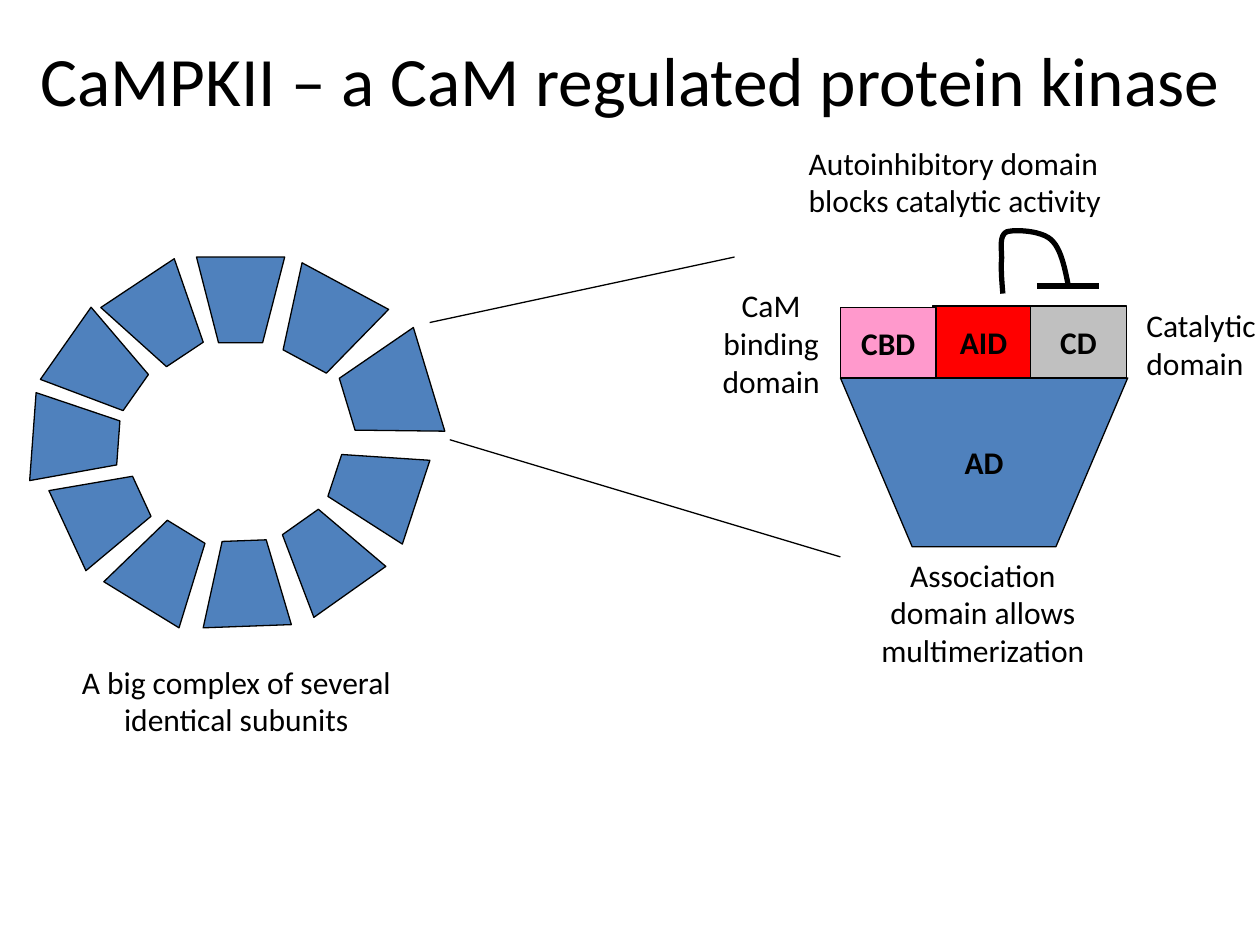
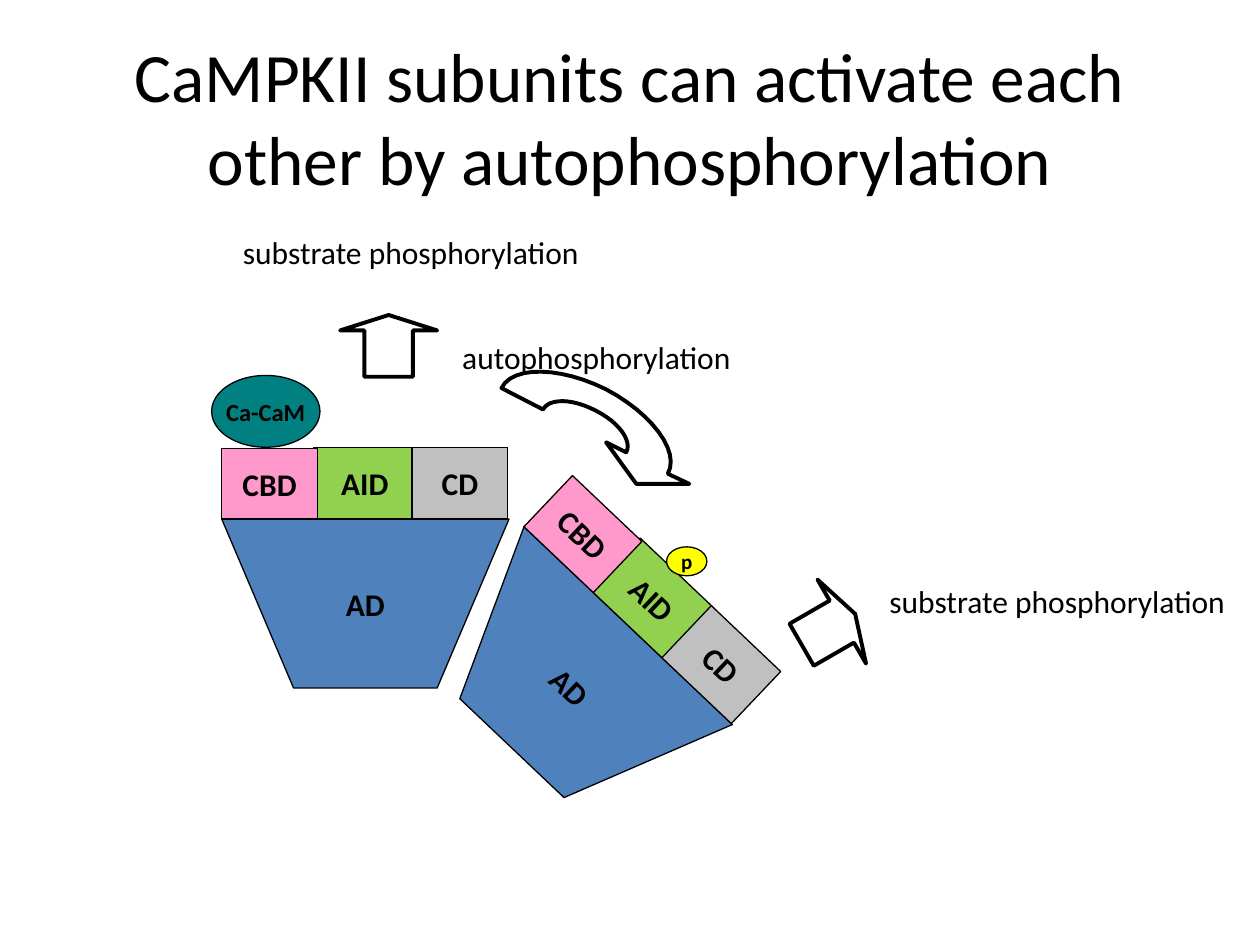
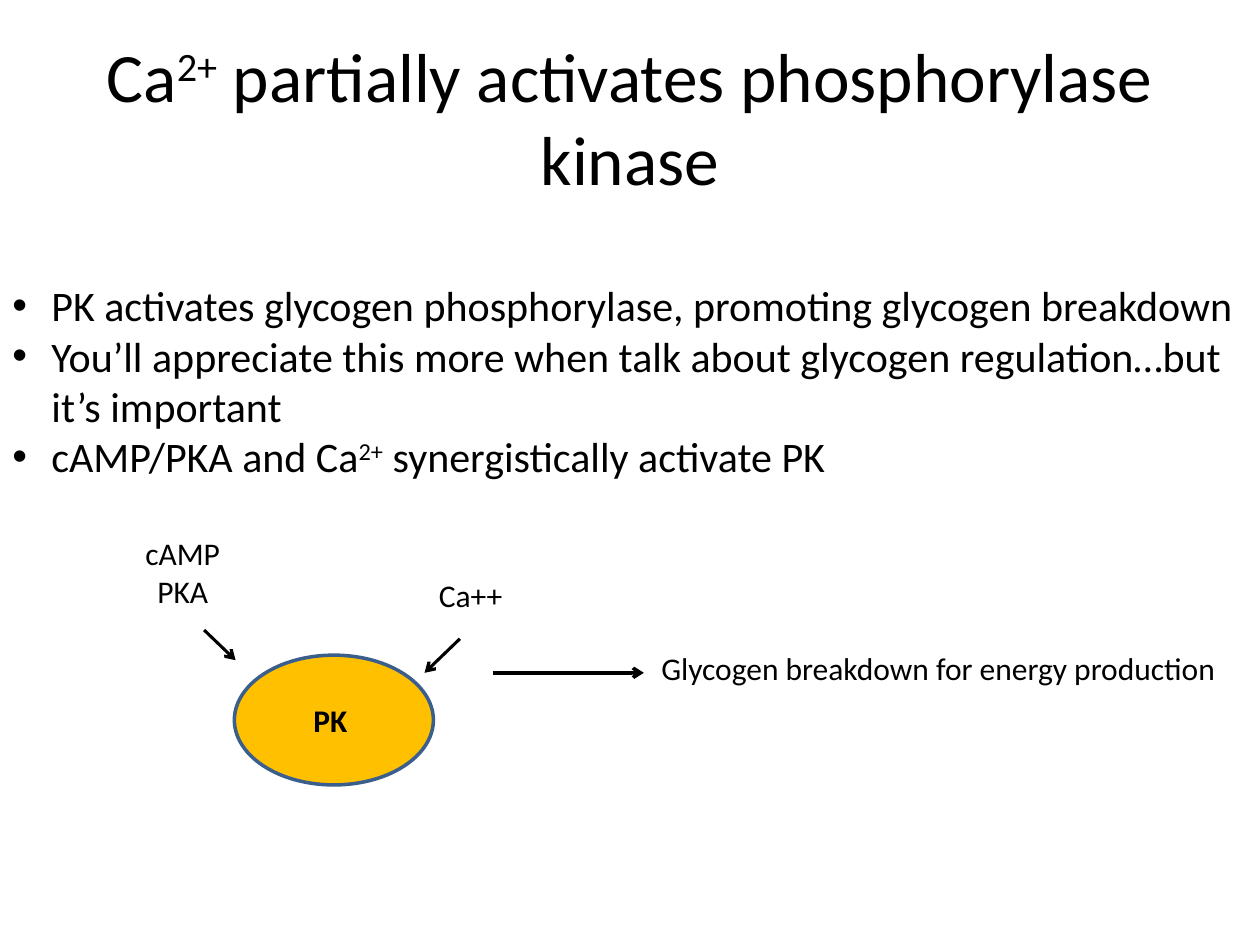
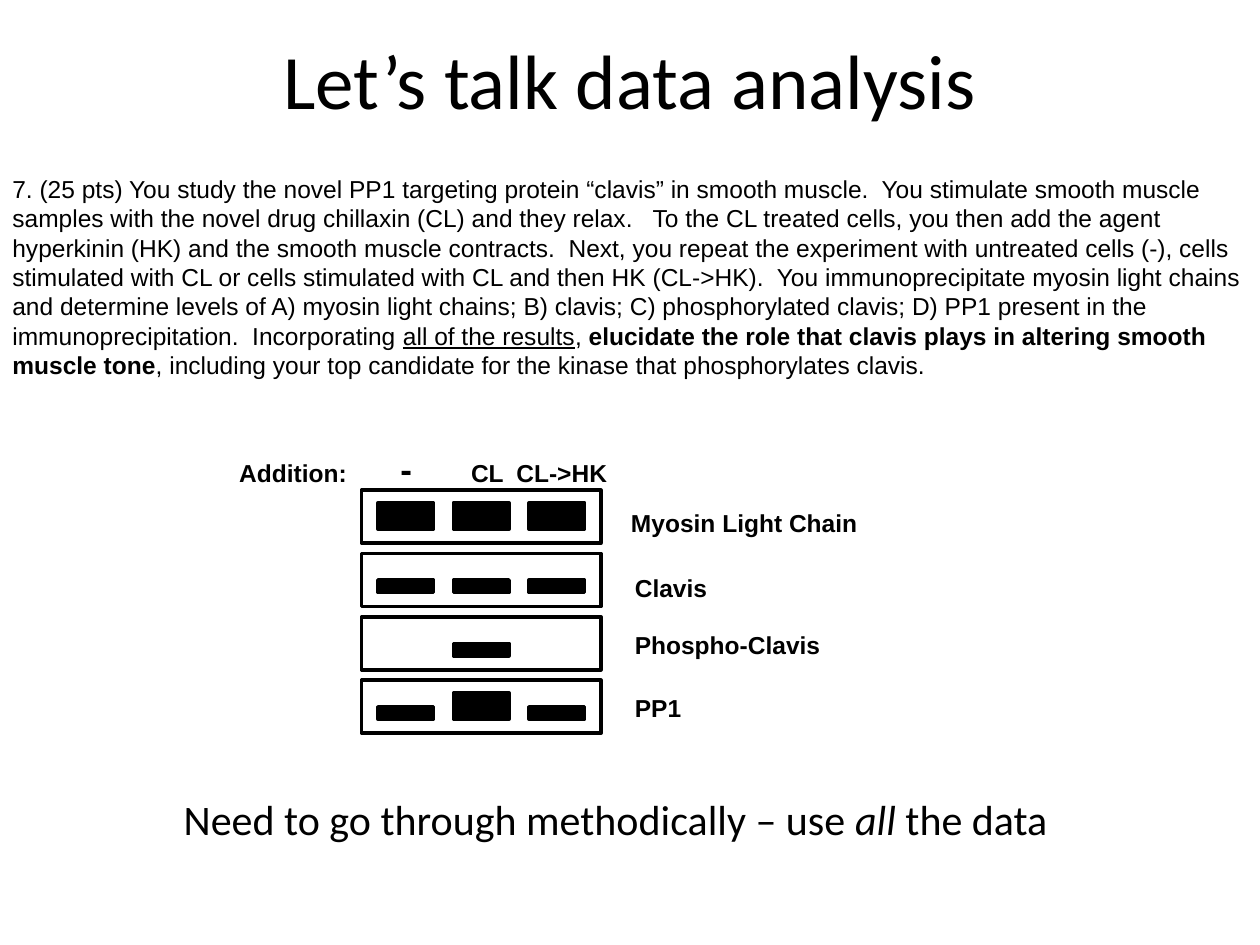
import math
from pptx import Presentation
from pptx.dml.color import RGBColor
from pptx.enum.shapes import MSO_CONNECTOR, MSO_SHAPE
from pptx.enum.text import MSO_ANCHOR, PP_ALIGN
from pptx.oxml.ns import qn
from pptx.util import Inches, Pt
from lxml import etree

RECTANGLE, ELLIPSE, UP_ARROW = MSO_SHAPE.RECTANGLE, MSO_SHAPE.OVAL, MSO_SHAPE.UP_ARROW
STRAIGHT = MSO_CONNECTOR.STRAIGHT
LEFT, CENTER = PP_ALIGN.LEFT, PP_ALIGN.CENTER
TOP, MIDDLE = MSO_ANCHOR.TOP, MSO_ANCHOR.MIDDLE

COLORS = {
    "ink": "000000", "paper": "FFFFFF", "subunit": "4F81BD", "blocked": "FF0000",
    "open": "92D050", "catalytic": "C0C0C0", "binding": "FF99CC",
    "calmodulin": "008080", "phosphate": "FFFF00", "kinase": "FFC000", "kinase edge": "3A5F8C",
}
BODY_FONT, DATA_FONT = "Calibri", "Arial"
PAGE_WIDTH, PAGE_HEIGHT = 10, 7.5
TITLE_HEIGHT = 1.25

# Content: a paragraph is a string or a list of (text, style) spans
RING = [  # left, top, width, height, turn of each subunit
    (1.56, 2.04, 0.70, 0.68, 0), (2.19, 2.23, 0.78, 0.68, 28.3),
    (2.65, 2.77, 0.86, 0.68, 73.1), (2.63, 3.54, 0.70, 0.68, 108.2),
    (2.23, 4.08, 0.70, 0.68, 144.7), (1.60, 4.29, 0.70, 0.68, 177.9),
    (0.95, 4.17, 0.70, 0.68, 211.5), (0.48, 3.75, 0.70, 0.65, 245.2),
    (0.93, 2.19, 0.70, 0.68, 326.4), (0.25, 3.15, 0.70, 0.68, 274.2),
    (0.45, 2.58, 0.70, 0.68, 305.1),
]
STRUCTURE_NOTES = [  # text, box, alignment
    ("CaM binding domain", (5.58, 2.22, 1.08, 1.01), CENTER),
    ("Catalytic domain", (9, 2.38, 1.08, 0.71), LEFT),
    ("Autoinhibitory domain blocks catalytic activity", (6.32, 1.09, 2.97, 0.71), LEFT),
    ("Association domain allows multimerization", (6.79, 4.36, 2.02, 1.01), CENTER),
    ("A big complex of several identical subunits", (0.23, 5.21, 3.29, 0.71), CENTER),
]
ZOOM_LINES = [((3.41, 2.56), (5.83, 2.04)), ((3.57, 3.49), (6.67, 4.42))]
INHIBITION_CURVE = [
    (8.48, 2.27),
    [(8.45, 2.12), (8.42, 1.97), (8.34, 1.90)], [(8.26, 1.83), (8.06, 1.82), (7.99, 1.84)],
    [(7.93, 1.87), (7.95, 1.97), (7.95, 2.05)], [(7.94, 2.14), (7.96, 2.33), (7.96, 2.33)],
]
INHIBITION_BAR = ((8.23, 2.27), (8.72, 2.27))

SUBUNIT_SIZE = (2.28, 1.91)
ASSOCIATION_DOMAIN = (0, 0.57, 2.28, 1.34)
DOMAINS = [  # name, colour (None: state of the AID), box within the subunit
    ("AID", None, (0.73, 0, 0.81, 0.57)),
    ("CD", "catalytic", (1.51, 0, 0.76, 0.57)),
    ("CBD", "binding", (0, 0.01, 0.76, 0.56)),
]
ACTIVATION_NOTES = [
    ("substrate phosphorylation", (1.83, 1.8, 2.94, 0.4)),
    ("autophosphorylation", (3.57, 2.63, 2.62, 0.4)),
    ("substrate phosphorylation", (6.96, 4.57, 2.94, 0.4)),
]
SUBSTRATE_ARROWS = [((2.70, 2.50, 0.77, 0.49), 0), ((6.19, 4.75, 0.77, 0.49), 60)]
AUTO_ARROW = [
    (4.97, 3.59),
    [(5.02, 3.50), (4.91, 3.35), (4.73, 3.26)], [(4.54, 3.16), (4.36, 3.16), (4.31, 3.25)],
    (3.98, 3.08),
    [(4.07, 2.90), (4.45, 2.91), (4.81, 3.09)], [(5.17, 3.28), (5.40, 3.58), (5.30, 3.76)],
    (5.47, 3.84), (5.05, 3.84), (4.81, 3.51),
]
AUTO_ARROW_TURN = 27.1
LIGANDS = [
    ("Ca-CaM", (1.68, 2.98, 0.86, 0.57), "calmodulin", 14),
    ("p", (5.29, 4.34, 0.32, 0.23), "phosphate", 12),
]

KINASE_TITLE = [("Ca", ""), ("2+", "super"), (" partially activates phosphorylase kinase", "")]
KINASE_POINTS = [
    "PK activates glycogen phosphorylase, promoting glycogen breakdown",
    "You’ll appreciate this more when talk about glycogen regulation…but it’s important",
    [("cAMP/PKA and Ca", ""), ("2+", "super"), (" synergistically activate PK", "")],
]
KINASE_ARROWS = [
    ((1.62, 5), (1.87, 5.24), 1.75),
    ((3.65, 5.07), (3.37, 5.34), 1.75),
    ((3.91, 5.34), (5.11, 5.34), 2),
]

QUESTION = [
    ("7. (25 pts) You study the novel PP1 targeting protein “clavis” in smooth muscle.  "
     "You stimulate smooth muscle samples with the novel drug chillaxin (CL) and they relax.   "
     "To the CL treated cells, you then add the agent hyperkinin (HK) and the smooth muscle "
     "contracts.  Next, you repeat the experiment with untreated cells (-), cells stimulated "
     "with CL or cells stimulated with CL and then HK (CL->HK).  You immunoprecipitate myosin "
     "light chains and determine levels of A) myosin light chains; B) clavis; "
     "C) phosphorylated clavis; D) PP1 present in the immunoprecipitation.  Incorporating ", ""),
    ("all of the results", "underline"),
    (", ", ""),
    ("elucidate the role that clavis plays in altering smooth muscle tone", "bold"),
    (", including your top candidate for the kinase that phosphorylates clavis.", ""),
]
ADDITIONS = [("Addition:\t", ""), ("-\t", "large"), ("CL\tCL->HK", "")]
ADDITION_STOPS = [1.28, 1.84, 2.2]
NO_BAND, THIN, THICK = 0, 0.1, 0.21
BLOTS = [  # label, label left and top, band heights for -, CL, CL->HK
    ("Myosin Light Chain", (4.91, 3.98), (THICK, THICK, THICK)),
    ("Clavis", (4.94, 4.5), (THIN, THIN, THIN)),
    ("Phospho-Clavis", (4.94, 4.95), (NO_BAND, THIN, NO_BAND)),
    ("PP1", (4.94, 5.45), (THIN, THICK, THIN)),
]
BLOT_LEFT, BLOT_TOP, BLOT_WIDTH, BLOT_HEIGHT, BLOT_PITCH = 2.87, 3.89, 1.9, 0.42, 0.503
BAND_INSET, BAND_WIDTH, BAND_PITCH, BAND_BASE = 0.13, 0.44, 0.6, 0.31
ADVICE = [("Need to go through methodically – use ", ""), ("all", "italic"), (" the data", "")]


def color(name):
    return RGBColor.from_string(COLORS[name])


def inches(values):
    return [Inches(value) for value in values]


# Text
def write(box, paragraphs, size=18, font=BODY_FONT, bold=False, align=LEFT, anchor=TOP, wrap=True):
    frame = box.text_frame
    frame.word_wrap = wrap
    frame.vertical_anchor = anchor
    for index, content in enumerate(paragraphs):
        para = frame.paragraphs[0] if index == 0 else frame.add_paragraph()
        para.alignment = align
        for text, style in [(content, "")] if isinstance(content, str) else content:
            span = para.add_run()
            span.text = text
            span.font.name = font
            span.font.size = Pt(20 if style == "large" else size)
            span.font.color.rgb = color("ink")
            span.font.bold = bold or style == "bold"
            span.font.italic = style == "italic"
            span.font.underline = style == "underline"
            if style == "super":
                span.font._element.set("baseline", "30000")
    return frame


def add_text(page, box, *paragraphs, **style):
    return write(page.shapes.add_textbox(*inches(box)), paragraphs, **style)


def add_title(page, title, left=0.5, top=0.3, size=39.6):
    add_text(page, (left, top, PAGE_WIDTH - 2 * left, TITLE_HEIGHT), title,
             size=size, align=CENTER, anchor=MIDDLE)


def add_bullets(frame):
    for para in frame.paragraphs:
        settings = para._p.get_or_add_pPr()
        settings.set("marL", str(Inches(0.31)))
        settings.set("indent", str(-Inches(0.31)))
        etree.SubElement(settings, qn("a:buFont"), typeface="Arial")
        etree.SubElement(settings, qn("a:buChar"), char="•")


def add_tab_stops(para, stops):
    tabs = etree.SubElement(para._p.get_or_add_pPr(), qn("a:tabLst"))
    for stop in stops:
        etree.SubElement(tabs, qn("a:tab"), pos=str(Inches(stop)), algn="l")


# Shapes
def paint(shape, fill=None, line="ink", width=0.75, turn=0):
    shape.shadow.inherit = False
    if fill:
        shape.fill.solid()
        shape.fill.fore_color.rgb = color(fill)
    else:
        shape.fill.background()
    shape.line.color.rgb = color(line)
    shape.line.width = Pt(width)
    shape.rotation = turn
    return shape


def add_shape(page, kind, box, **look):
    return paint(page.shapes.add_shape(kind, *inches(box)), **look)


def add_outline(page, points, closed=True, **look):
    corners = [inches(point) for point in points]
    builder = page.shapes.build_freeform(*corners[0])
    builder.add_line_segments(corners[1:], close=closed)
    return paint(builder.convert_to_shape(), **look)


def add_trapezoid(page, box, **look):
    left, top, width, height = box
    corners = [(0, 0), (0.25, 1), (0.75, 1), (1, 0)]
    return add_outline(page, [(left + x * width, top + y * height) for x, y in corners], **look)


def add_line(page, start, end, width=0.75, arrow=False):
    line = page.shapes.add_connector(STRAIGHT, *inches(start + end))
    line.line.color.rgb = color("ink")
    line.line.width = Pt(width)
    if arrow:
        etree.SubElement(line.line._get_or_add_ln(), qn("a:tailEnd"), type="arrow")
    etree.SubElement(line._element.spPr, qn("a:effectLst"))


def trace(steps, pieces=12):
    """Turn corners and cubic curves (lists of three points) into points."""
    points = []
    for step in steps:
        if isinstance(step, tuple):
            points.append(step)
            continue
        curve = [points[-1]] + step
        for piece in range(1, pieces + 1):
            t = piece / pieces
            weights = [math.comb(3, k) * t ** k * (1 - t) ** (3 - k) for k in range(4)]
            points.append(tuple(sum(w * point[axis] for w, point in zip(weights, curve))
                                for axis in (0, 1)))
    return points


def turn_point(point, center, degrees):
    angle = math.radians(degrees)
    dx, dy = point[0] - center[0], point[1] - center[1]
    return (center[0] + dx * math.cos(angle) - dy * math.sin(angle),
            center[1] + dx * math.sin(angle) + dy * math.cos(angle))


def add_subunit(page, left, top, state, turn=0):
    center = (left + SUBUNIT_SIZE[0] / 2, top + SUBUNIT_SIZE[1] / 2)

    def place(part):
        x, y, width, height = part
        middle = turn_point((left + x + width / 2, top + y + height / 2), center, turn)
        return middle[0] - width / 2, middle[1] - height / 2, width, height

    label = dict(bold=True, align=CENTER, anchor=MIDDLE, wrap=False)
    write(add_trapezoid(page, place(ASSOCIATION_DOMAIN), fill="subunit", turn=turn), ["AD"], **label)
    for name, fill, part in DOMAINS:
        domain = add_shape(page, RECTANGLE, place(part), fill=fill or state, turn=turn)
        write(domain, [name], **label)


# Slides
def build_structure(page):
    add_title(page, "CaMPKII – a CaM regulated protein kinase", left=0, top=0)
    add_subunit(page, 6.67, 2.43, "blocked")
    add_outline(page, trace(INHIBITION_CURVE), closed=False, width=3)
    add_line(page, *INHIBITION_BAR, width=3)
    for *box, turn in RING:
        add_trapezoid(page, box, fill="subunit", turn=turn)
    for text, box, align in STRUCTURE_NOTES:
        add_text(page, box, text, align=align)
    for start, end in ZOOM_LINES:
        add_line(page, start, end)


def build_activation(page):
    add_title(page, "CaMPKII subunits can activate each other by autophosphorylation")
    for box, turn in SUBSTRATE_ARROWS:
        arrow = add_shape(page, UP_ARROW, box, width=2.25, turn=turn)
        arrow.adjustments[0], arrow.adjustments[1] = 0.5, 0.25
    add_outline(page, trace(AUTO_ARROW), width=2.25)
    for text, box in ACTIVATION_NOTES:
        add_text(page, box, text)
    add_subunit(page, 1.76, 3.55, "open")
    add_subunit(page, 3.58, 4.29, "open", turn=43.5)
    for text, box, fill, size in LIGANDS:
        write(add_shape(page, ELLIPSE, box, fill=fill), [text], size=size, bold=True,
              align=CENTER, anchor=MIDDLE, wrap=False)


def build_kinase(page):
    add_title(page, KINASE_TITLE)
    kinase = add_shape(page, ELLIPSE, (1.86, 5.2, 1.58, 1.03),
                       fill="kinase", line="kinase edge", width=2)
    write(kinase, ["PK "], bold=True, align=CENTER, anchor=MIDDLE)
    add_text(page, (0.91, 4.19, 1.08, 0.7), "cAMP", "PKA", align=CENTER)
    add_text(page, (3.03, 4.52, 1.41, 0.4), "Ca++", align=CENTER)
    for start, end, width in KINASE_ARROWS:
        add_line(page, start, end, width, arrow=True)
    add_text(page, (5.15, 5.1, 4.64, 0.4), "Glycogen breakdown for energy production", wrap=False)
    add_bullets(add_text(page, (0, 2.17, PAGE_WIDTH, 1.72), *KINASE_POINTS, size=24))


def build_analysis(page):
    add_title(page, "Let’s talk data analysis", top=0, size=44)
    add_text(page, (0, 1.33, PAGE_WIDTH, 2.05), QUESTION, size=14, font=DATA_FONT)
    label = dict(size=14, font=DATA_FONT, bold=True)
    for row, (name, place, bands) in enumerate(BLOTS):
        top = BLOT_TOP + row * BLOT_PITCH
        add_shape(page, RECTANGLE, (BLOT_LEFT, top, BLOT_WIDTH, BLOT_HEIGHT), width=2)
        for column, height in enumerate(bands):
            if height:
                left = BLOT_LEFT + BAND_INSET + column * BAND_PITCH
                add_shape(page, RECTANGLE, (left, top + BAND_BASE - height, BAND_WIDTH, height),
                          fill="ink", width=2)
        add_text(page, place + (2.04, 0.33), name, **label)
    header = add_text(page, (1.8, 3.5, 3.2, 0.43), ADDITIONS, **label)
    add_tab_stops(header.paragraphs[0], ADDITION_STOPS)
    add_text(page, (1.36, 6.25, 7.28, 0.5), ADVICE, size=24, wrap=False)


def main():
    deck = Presentation()
    deck.slide_width, deck.slide_height = Inches(PAGE_WIDTH), Inches(PAGE_HEIGHT)
    for build in (build_structure, build_activation, build_kinase, build_analysis):
        page = deck.slides.add_slide(deck.slide_layouts[6])
        page.background.fill.solid()
        page.background.fill.fore_color.rgb = color("paper")
        build(page)
    deck.save("out.pptx")


if __name__ == "__main__":
    main()
